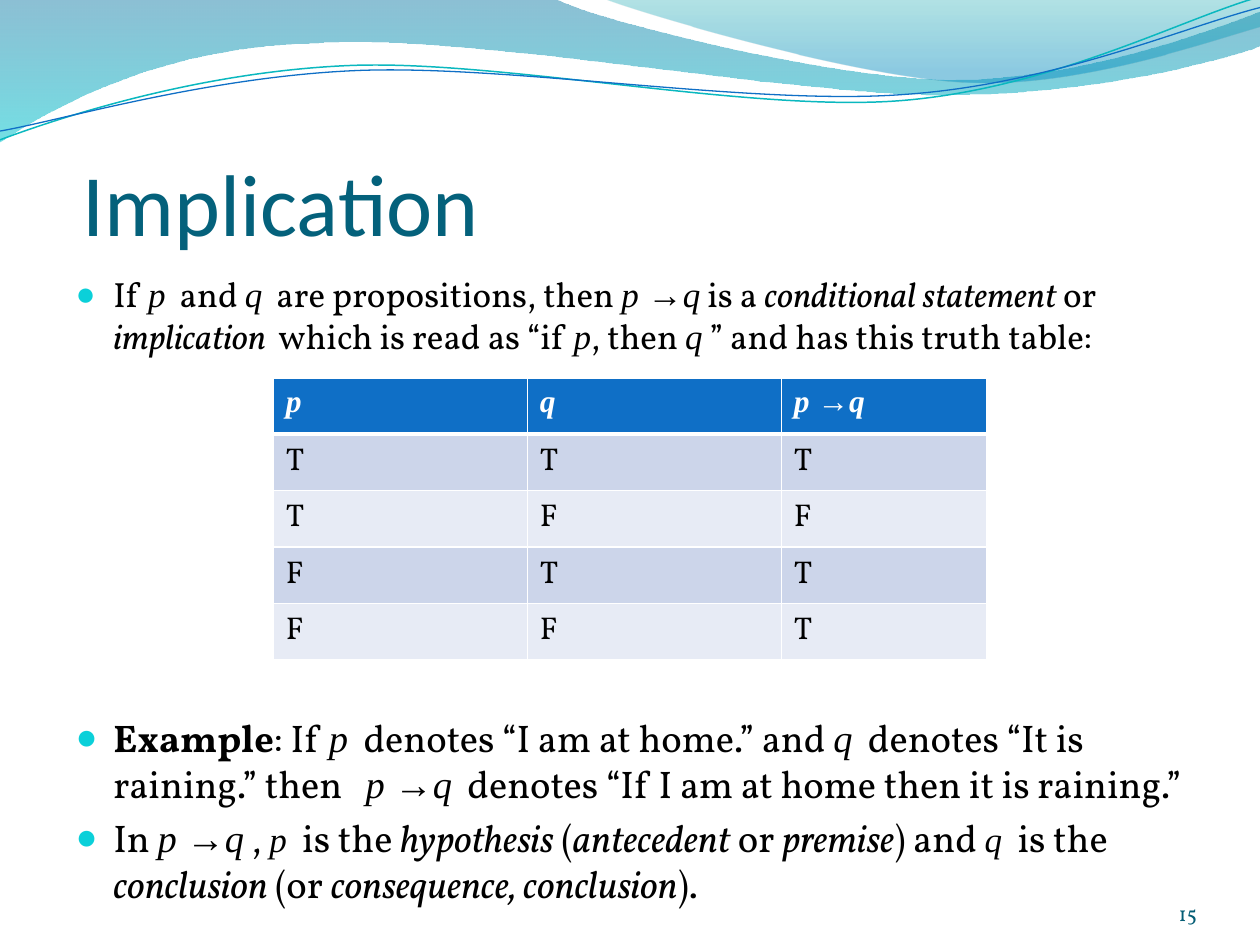
import math

import pptx
import pptx.util
from lxml import etree
from pptx.dml.color import RGBColor
from pptx.enum.text import MSO_ANCHOR, MSO_AUTO_SIZE, PP_ALIGN
from pptx.oxml.ns import qn
from pptx.util import Cm, Pt

WHITE = RGBColor(0xFF, 0xFF, 0xFF)
BLACK = RGBColor(0, 0, 0)
BLUE = RGBColor(0x0F, 0x6F, 0xC6)
TEAL = RGBColor(0x0A, 0xB8, 0xBF)
TITLE_COLOR = RGBColor(0x04, 0x61, 0x7B)
NUMBER_COLOR = RGBColor(0x04, 0x5D, 0x75)
BULLET_COLOR = RGBColor(0x0B, 0xD0, 0xD9)
BANDS = (RGBColor(0xCC, 0xD5, 0xEA), RGBColor(0xE7, 0xEB, 0xF5))

TEXT_FONT, MATH_FONT = "Vollkorn", "Times New Roman"

# Waves in inches: start, then a line (2 numbers) or a Bézier curve (6) per step.
# Gradient stops: position, colour, opacity in percent.
FILLED_WAVES = [
    ([(0, 0), (4.4, -0.01), (4.76, 0.17, 6.64, 0.63, 7.58, 0.63),
      (8.53, 0.63, 9.58, 0.26, 10, 0.09), (10.01, 0.36),
      (9.83, 0.44, 8.7, 0.76, 7.46, 0.75), (6.22, 0.75, 3.82, 0.28, 2.57, 0.34),
      (1.29, 0.36, 0.46, 0.83, -0.01, 1.13), (0, 0)],
     [(0, RGBColor(0x00, 0x74, 0xA1), 45), (1, RGBColor(0x00, 0xC6, 0xCF), 55)]),
    ([(4.79, -0.01), (5.09, 0.11, 6.82, 0.62, 7.69, 0.65),
      (8.56, 0.69, 9.61, 0.32, 10, 0.21), (10, 0), (4.79, -0.01)],
     [(0, RGBColor(0x00, 0xA1, 0xA9), 30), (0.8, RGBColor(0x00, 0x8B, 0xBF), 45)]),
]
LINE_WAVES = [
    ([(0, 1.11), (0.48, 0.93, 1.58, 0.57, 2.77, 0.52),
      (3.95, 0.47, 5.93, 0.89, 7.13, 0.8), (8.33, 0.71, 9.38, 0.15, 9.98, -0.02)],
     TEAL, 0.85),
    ([(0, 1.04), (0.47, 0.96, 1.64, 0.61, 2.83, 0.56),
      (4.03, 0.51, 5.97, 0.84, 7.17, 0.75), (8.36, 0.67, 9.41, 0.21, 10, 0.06)],
     BLUE, 0.75),
]
LINE_TILT = -2.7
LINE_CENTER = (4.99, 0.58)

# Span styles: font, italic, bold
STYLES = {
    "plain": (TEXT_FONT, False, False),
    "italic": (TEXT_FONT, True, False),
    "bold": (TEXT_FONT, False, True),
    "math": (MATH_FONT, True, False),
    "arrow": (MATH_FONT, False, False),
}
P, Q = ("p", "math"), ("q", "math")
IMPLIES = [("p ", "math"), ("→", "arrow"), Q]

# Paragraphs: size, space before, spans (text, style, own size if different)
BODY = [
    (20, 0, [
        ("If ", "plain"), P, ("  and ", "plain"), Q,
        ("  are propositions, then ", "plain"), *IMPLIES, (" is a ", "plain"),
        ("conditional statement ", "italic"), ("or ", "plain"),
        ("implication ", "italic"), (" which is read as “if ", "plain"), P,
        (", then ", "plain"), Q, (" ” and has this truth table:", "plain")]),
    (22, 204, [
        ("Example", "bold"), (": If ", "plain"), P,
        ("  denotes “I am at home.” and ", "plain"), Q,
        ("  denotes “It is raining.” then   ", "plain"), *IMPLIES,
        ("  denotes “If I am at home then it is raining.”", "plain")]),
    (22, 4.4, [
        ("In ", "plain"), *IMPLIES, (" , ", "plain"), (*P, 20),
        ("  is the ", "plain"), ("hypothesis", "italic"), (" (", "plain"),
        ("antecedent", "italic"), (" or ", "plain"), ("premise", "italic"),
        (") and ", "plain"), (*Q, 20), ("  is the ", "plain"),
        ("conclusion", "italic"), (" (or ", "plain"),
        ("consequence, conclusion", "italic"), (").", "plain")]),
]

TABLE_HEAD = [[P], [Q], IMPLIES]
TRUTH_ROWS = ["TTT", "TFF", "FTT", "FFT"]
COLUMN_WIDTHS = (5.12, 5.12, 4.15)
HEAD_HEIGHT, ROW_HEIGHT = 1.13, 0.97


def add_element(parent, tag, **attributes):
    return etree.SubElement(parent, qn(tag), attributes)


def turned(point, angle, center):
    x, y = point[0] - center[0], point[1] - center[1]
    sine, cosine = math.sin(math.radians(angle)), math.cos(math.radians(angle))
    return center[0] + x * cosine - y * sine, center[1] + x * sine + y * cosine


def add_wave(page, steps, close, tilt=0, center=(0, 0)):
    """Draw every point as a line, then join each three of a curve into a Bézier."""
    points = [turned(step[i:i + 2], -tilt, center)
              for step in steps for i in range(0, len(step), 2)]
    points = [(Cm(x * 2.54), Cm(y * 2.54)) for x, y in points]
    builder = page.shapes.build_freeform(*points[0])
    builder.add_line_segments(points[1:], close=close)
    wave = builder.convert_to_shape()
    wave.shadow.inherit = False
    wave.rotation = tilt
    segments = iter(list(wave._element.iter(qn("a:lnTo"))))
    for step in steps[1:]:
        segment = next(segments)
        if len(step) == 6:
            curve = etree.Element(qn("a:cubicBezTo"))
            segment.addprevious(curve)
            for part in (segment, next(segments), next(segments)):
                curve.append(part[0])
                part.getparent().remove(part)
    return wave


def add_waves(page):
    for steps, stops in FILLED_WAVES:
        wave = add_wave(page, steps, True)
        wave.line.fill.background()
        wave.fill.gradient()
        wave.fill.gradient_angle = 270
        for stop, (position, color, opacity) in zip(wave.fill.gradient_stops, stops):
            stop.position = position
            stop.color.rgb = color
        colors = wave._element.spPr.iter(qn("a:srgbClr"))
        for element, (position, color, opacity) in zip(colors, stops):
            add_element(element, "a:alpha", val=str(opacity * 1000))
    for steps, color, width in LINE_WAVES:
        wave = add_wave(page, steps, False, LINE_TILT, LINE_CENTER)
        wave.fill.background()
        wave.line.color.rgb = color
        wave.line.width = Pt(width)


def place(box, left, top, width, height):
    box.left, box.top, box.width, box.height = map(Cm, (left, top, width, height))


def add_spans(para, spans, color):
    para.font.color.rgb = color
    for text, style, *size in spans:
        span = para.add_run()
        span.text = text
        span.font.name, span.font.italic, span.font.bold = STYLES[style]
        span.font.color.rgb = color
        if size:
            span.font.size = Pt(size[0])


def add_bullet(para):
    properties = para._p.get_or_add_pPr()
    properties.set("marL", str(Cm(0.76)))
    properties.set("indent", str(-Cm(0.76)))
    color = add_element(properties, "a:buClr")
    add_element(color, "a:srgbClr", val=str(BULLET_COLOR))
    add_element(properties, "a:buSzPct", val="95000")
    add_element(properties, "a:buChar", char="●")


def fill_title(title):
    place(title, 1.27, 1.96, 22.86, 3.17)
    frame = title.text_frame
    frame.text = " Implication"
    frame.auto_size = MSO_AUTO_SIZE.NONE
    frame.vertical_anchor = MSO_ANCHOR.BOTTOM
    frame.margin_left = frame.margin_right = frame.margin_bottom = 0
    para = frame.paragraphs[0]
    para.alignment = PP_ALIGN.LEFT
    para.font.name, para.font.size = "Calibri", Pt(50)
    para.font.color.rgb = TITLE_COLOR


def fill_body(body):
    place(body, 1.27, 5.37, 22.86, 13.67)
    frame = body.text_frame
    frame.auto_size = MSO_AUTO_SIZE.NONE
    for index, (size, space, spans) in enumerate(BODY):
        para = frame.paragraphs[0] if index == 0 else frame.add_paragraph()
        para.space_before = Pt(space)
        add_bullet(para)
        para.font.size = Pt(size)
        add_spans(para, spans, BLACK)


def fill_cell(cell, spans, color, fill, bottom):
    properties = cell._tc.get_or_add_tcPr()
    for side, width in (("L", 1), ("R", 1), ("T", 1), ("B", bottom)):
        border = add_element(properties, "a:ln" + side, w=str(Pt(width)))
        add_element(add_element(border, "a:solidFill"), "a:srgbClr", val=str(WHITE))
    cell.fill.solid()
    cell.fill.fore_color.rgb = fill
    para = cell.text_frame.paragraphs[0]
    para.font.size = Pt(18)
    add_spans(para, spans, color)


def add_truth_table(page):
    rows = len(TRUTH_ROWS) + 1
    table = page.shapes.add_table(
        rows, len(COLUMN_WIDTHS), Cm(5.51), Cm(7.62),
        Cm(sum(COLUMN_WIDTHS)), Cm(ROW_HEIGHT * rows)).table
    table.rows[0].height = Cm(HEAD_HEIGHT)
    for column, width in zip(table.columns, COLUMN_WIDTHS):
        column.width = Cm(width)
    for index, spans in enumerate(TABLE_HEAD):
        cell = table.cell(0, index)
        fill_cell(cell, spans, WHITE, BLUE, 3)
        for span in cell.text_frame.paragraphs[0].runs:
            span.font.bold = True
    for row, values in enumerate(TRUTH_ROWS):
        for column, value in enumerate(values):
            fill_cell(table.cell(row + 1, column), [(value, "plain")],
                      BLACK, BANDS[row % 2], 1)


def add_page_number(page):
    box = page.shapes.add_textbox(Cm(22.02), Cm(17.65), Cm(2.11), Cm(1.02))
    frame = box.text_frame
    frame.word_wrap = True
    frame.vertical_anchor = MSO_ANCHOR.BOTTOM
    frame.margin_left = frame.margin_right = frame.margin_top = frame.margin_bottom = 0
    frame.text = "15"
    para = frame.paragraphs[0]
    para.alignment = PP_ALIGN.RIGHT
    para.font.name, para.font.size = TEXT_FONT, Pt(12)
    para.font.color.rgb = NUMBER_COLOR


def main():
    deck = pptx.Presentation()
    deck.slide_width, deck.slide_height = Cm(25.4), Cm(19.05)
    page = deck.slides.add_slide(deck.slide_layouts[1])
    add_waves(page)
    fill_title(page.shapes.title)
    fill_body(page.placeholders[1])
    add_truth_table(page)
    add_page_number(page)
    deck.save("out.pptx")


if __name__ == "__main__":
    main()
